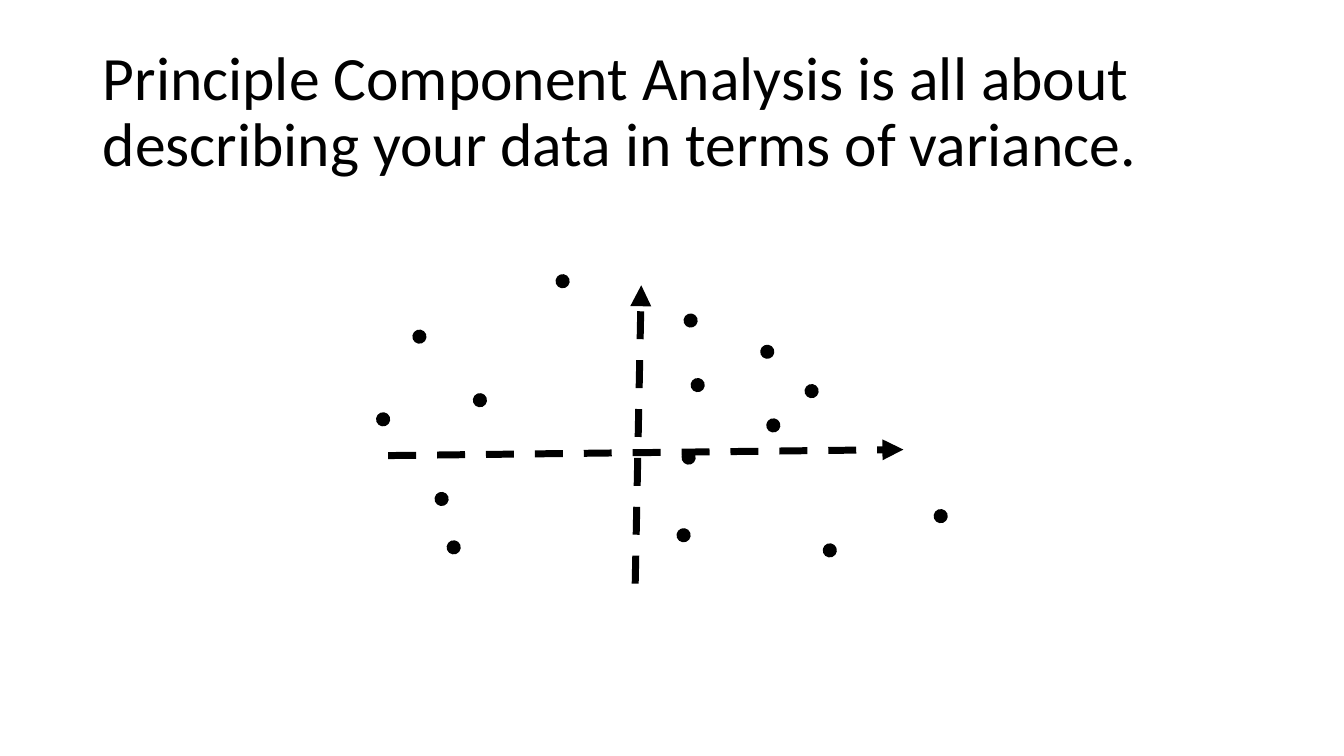
from lxml.etree import SubElement
from pptx import Presentation
from pptx.dml.color import RGBColor
from pptx.enum.dml import MSO_LINE
from pptx.enum.shapes import MSO_CONNECTOR, MSO_SHAPE
from pptx.enum.text import MSO_ANCHOR, PP_ALIGN
from pptx.oxml.ns import qn
from pptx.util import Inches, Pt

BLACK = "000000"
DOT = 0.14
DOTS = [
    (5.51, 2.72), (7.54, 3.42), (3.73, 4.09), (4.09, 3.27), (6.78, 3.11),
    (8.16, 5.39), (4.43, 5.36), (7.98, 3.81), (4.69, 3.9), (6.85, 3.75),
    (4.31, 4.88), (6.76, 4.47), (9.26, 5.05), (6.71, 5.24), (7.6, 4.15),
]
AXES = [(3.85, 4.52, 8.96, 4.46), (6.3, 5.79, 6.36, 2.83)]


def paint(color, value):
    color.rgb = RGBColor.from_string(value)


def write(frame, text, size=44, font="Calibri", color=BLACK, spacing=0.9):
    frame.word_wrap = True
    frame.vertical_anchor = MSO_ANCHOR.MIDDLE
    para = frame.paragraphs[0]
    para.alignment = PP_ALIGN.LEFT
    para.line_spacing = spacing
    run = para.add_run()
    run.text = text
    run.font.size = Pt(size)
    run.font.name = font
    paint(run.font.color, color)


deck = Presentation()
deck.slide_width = Inches(13.33)
deck.slide_height = Inches(7.5)
slide = deck.slides.add_slide(deck.slide_layouts[5])

title = slide.shapes.title
title.left, title.top = Inches(0.92), Inches(0.4)
title.width, title.height = Inches(11.5), Inches(1.45)
write(title.text_frame, "Principle Component Analysis is all about "
      "describing your data in terms of variance.")

plot = slide.shapes.add_group_shape()
for x, y in DOTS:
    dot = plot.shapes.add_shape(
        MSO_SHAPE.OVAL, Inches(x), Inches(y), Inches(DOT), Inches(DOT))
    dot.rotation = 39.4
    dot.shadow.inherit = False
    dot.fill.solid()
    paint(dot.fill.fore_color, BLACK)
    dot.line.fill.background()

for ends in AXES:
    axis = plot.shapes.add_connector(
        MSO_CONNECTOR.STRAIGHT, *[Inches(end) for end in ends])
    paint(axis.line.color, BLACK)
    axis.line.width = Pt(5)
    axis.line.dash_style = MSO_LINE.DASH
    SubElement(axis.line._get_or_add_ln(), qn("a:tailEnd"), type="triangle")
    SubElement(axis._element.spPr, qn("a:effectLst"))

deck.save("out.pptx")
